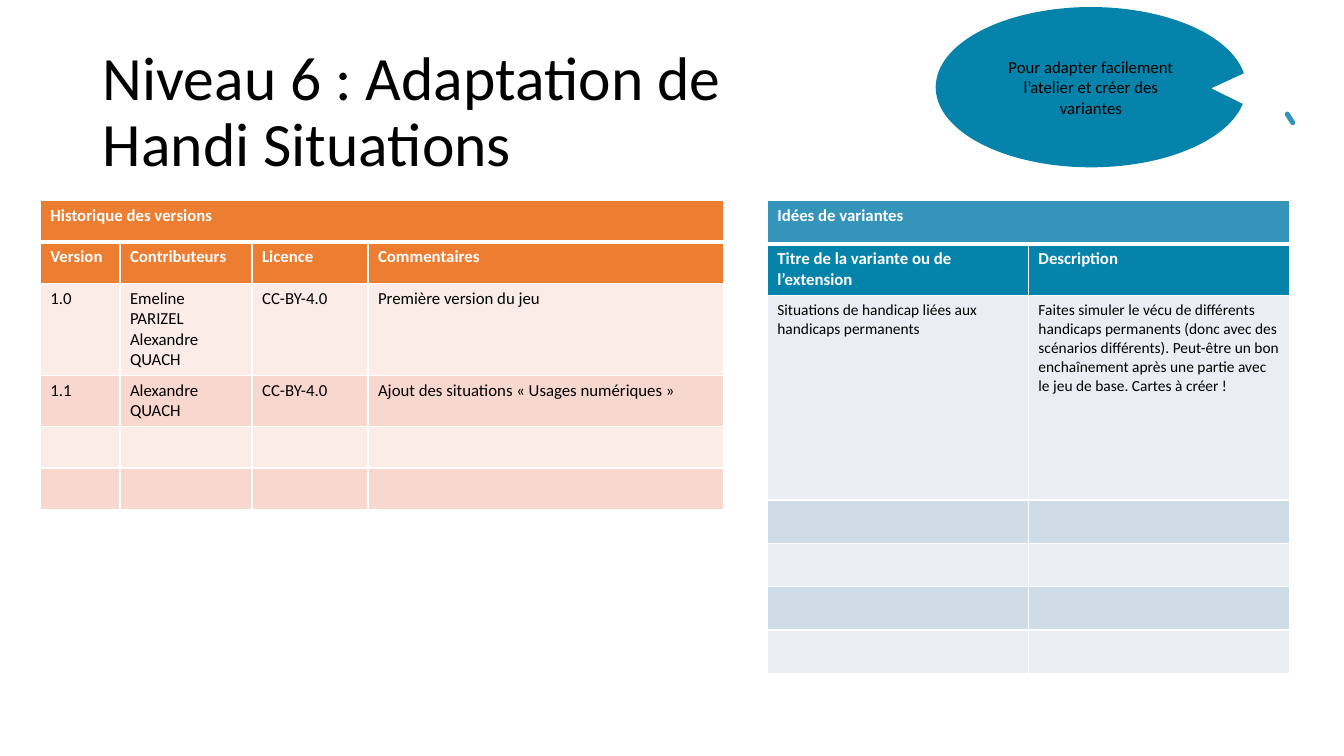
from pptx import Presentation
from pptx.dml.color import RGBColor
from pptx.enum.shapes import MSO_SHAPE
from pptx.enum.text import MSO_ANCHOR, PP_ALIGN
from pptx.oxml import parse_xml
from pptx.oxml.ns import nsdecls
from pptx.util import Inches, Pt

BLACK = RGBColor(0x00, 0x00, 0x00)
WHITE = RGBColor(0xFF, 0xFF, 0xFF)
TEAL = RGBColor(0x06, 0x83, 0xAA)
BLUE = RGBColor(0x34, 0x94, 0xBA)
BLUE_PALE = RGBColor(0xE8, 0xEE, 0xF3)
BLUE_SOFT = RGBColor(0xCE, 0xDC, 0xE7)
ORANGE = RGBColor(0xED, 0x7D, 0x31)
ORANGE_PALE = RGBColor(0xFC, 0xEC, 0xE8)
ORANGE_SOFT = RGBColor(0xF8, 0xD7, 0xCE)


def write(tf, text, size=12, color=BLACK, bold=False, align=PP_ALIGN.LEFT, spacing=1.0):
    tf.word_wrap = True
    for i, line in enumerate(text.split("\n")):
        p = tf.paragraphs[0] if i == 0 else tf.add_paragraph()
        p.alignment = align
        p.line_spacing = spacing
        r = p.add_run()
        r.text = line
        r.font.name = "Calibri"
        r.font.size = Pt(size)
        r.font.bold = bold
        r.font.color.rgb = color


def add_grid(s, left, top, cols, rows, texts, fills, size):
    frame = s.shapes.add_table(len(rows), len(cols), Inches(left), Inches(top),
                               Inches(sum(cols)), Inches(sum(rows)))
    table = frame.table
    for column, width in zip(table.columns, cols):
        column.width = Inches(width)
    for i, height in enumerate(rows):
        table.rows[i].height = Inches(height)
        heading = i < 2
        for j in range(len(cols)):
            cell = table.cell(i, j)
            tcPr = cell._tc.get_or_add_tcPr()
            for side in "LRTB":
                thick = (i, side) in ((0, "B"), (1, "T"))
                tcPr.append(parse_xml(
                    f'<a:ln{side} {nsdecls("a")} w="{Pt(3 if thick else 1)}">'
                    f'<a:solidFill><a:srgbClr val="{WHITE}"/></a:solidFill></a:ln{side}>'))
            cell.fill.solid()
            cell.fill.fore_color.rgb = fills[i] if heading else fills[2 + i % 2]
            if i < len(texts) and j < len(texts[i]):
                write(cell.text_frame, texts[i][j], size=12 if heading else size,
                      color=WHITE if heading else BLACK, bold=heading)
    table.cell(0, 0).merge(table.cell(0, len(cols) - 1))


prs = Presentation()
prs.slide_width = Inches(13.33)
prs.slide_height = Inches(7.5)
s = prs.slides.add_slide(prs.slide_layouts[5])

title = s.shapes.title
title.left, title.top, title.width, title.height = map(Inches, (0.92, 0.4, 7.85, 1.45))
title.text_frame.vertical_anchor = MSO_ANCHOR.MIDDLE
write(title.text_frame, "Niveau 6 : Adaptation de Handi Situations", size=44, spacing=0.9)

callout = s.shapes.add_shape(MSO_SHAPE.OVAL_CALLOUT, Inches(9.28), Inches(0.07),
                             Inches(3.08), Inches(1.59))
callout.adjustments[0] = 0.387
callout.adjustments[1] = 0.007
callout.text_frame.vertical_anchor = MSO_ANCHOR.MIDDLE
write(callout.text_frame, "Pour adapter facilement l’atelier et créer des variantes",
      align=PP_ALIGN.CENTER)

dash = s.shapes.add_shape(MSO_SHAPE.ROUNDED_RECTANGLE, Inches(12.72), Inches(1.15),
                          Inches(0.15), Inches(0.05))
dash.adjustments[0] = 0.5
dash.rotation = 57.7

for sp, color in ((callout, TEAL), (dash, BLUE)):
    sp.shadow.inherit = False
    sp.fill.solid()
    sp.fill.fore_color.rgb = color
    sp.line.fill.background()

add_grid(s, 7.61, 1.99, [2.59] * 2, [0.43, 0.51, 2.03] + [0.43] * 4, [
    ["Idées de variantes"],
    ["Titre de la variante ou de l’extension", "Description"],
    ["Situations de handicap liées aux handicaps permanents",
     "Faites simuler le vécu de différents handicaps permanents (donc avec des scénarios "
     "différents). Peut-être un bon enchaînement après une partie avec le jeu de base. "
     "Cartes à créer !"],
], [BLUE, TEAL, BLUE_PALE, BLUE_SOFT], size=11)

add_grid(s, 0.4, 1.99, [0.79, 1.31, 1.15, 3.53], [0.41, 0.41, 0.91, 0.51, 0.41, 0.41], [
    ["Historique des versions"],
    ["Version", "Contributeurs", "Licence", "Commentaires"],
    ["1.0", "Emeline PARIZEL\nAlexandre QUACH", "CC-BY-4.0", "Première version du jeu"],
    ["1.1", "Alexandre QUACH", "CC-BY-4.0", "Ajout des situations « Usages numériques »"],
], [ORANGE, ORANGE, ORANGE_PALE, ORANGE_SOFT], size=12)

prs.save("out.pptx")
